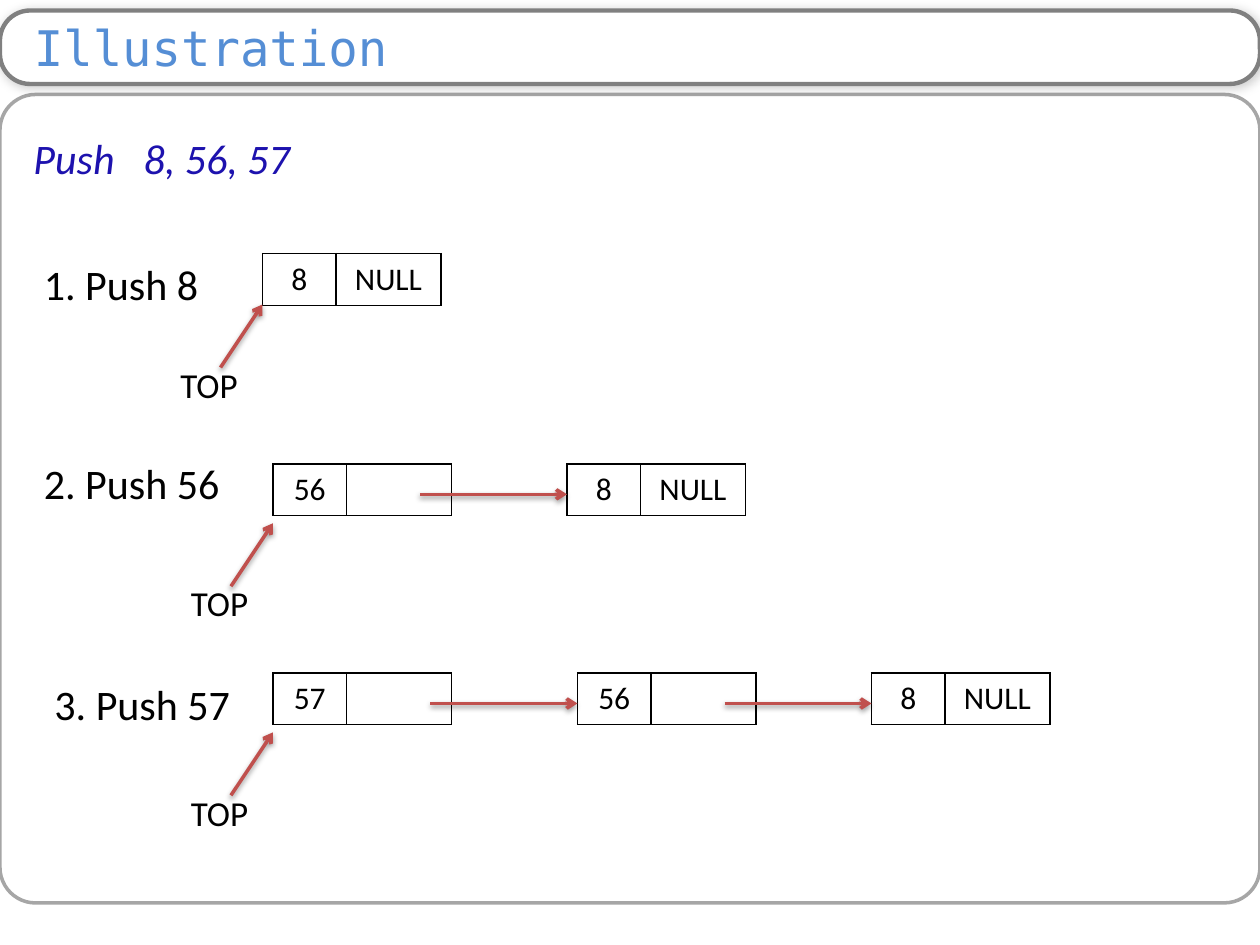
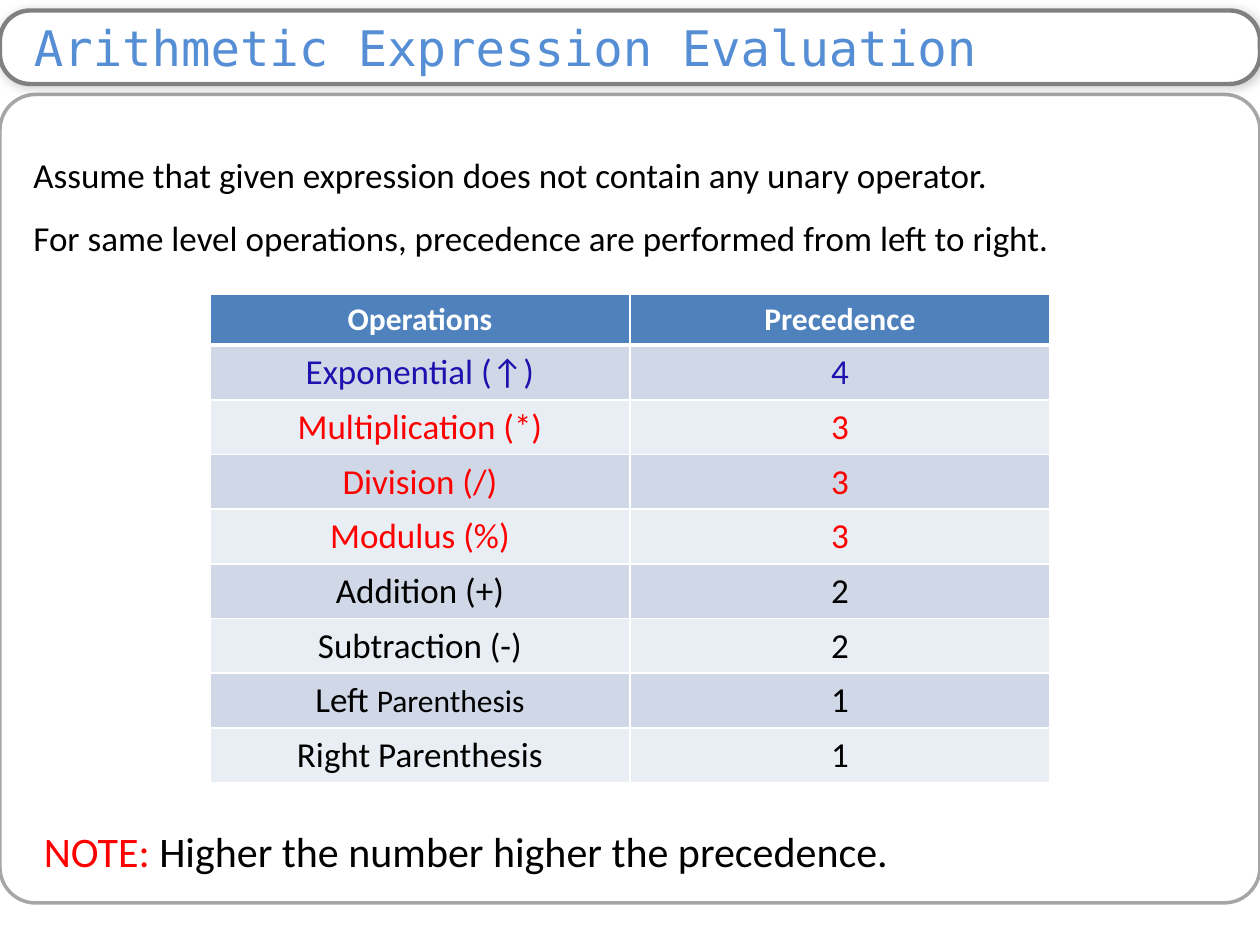
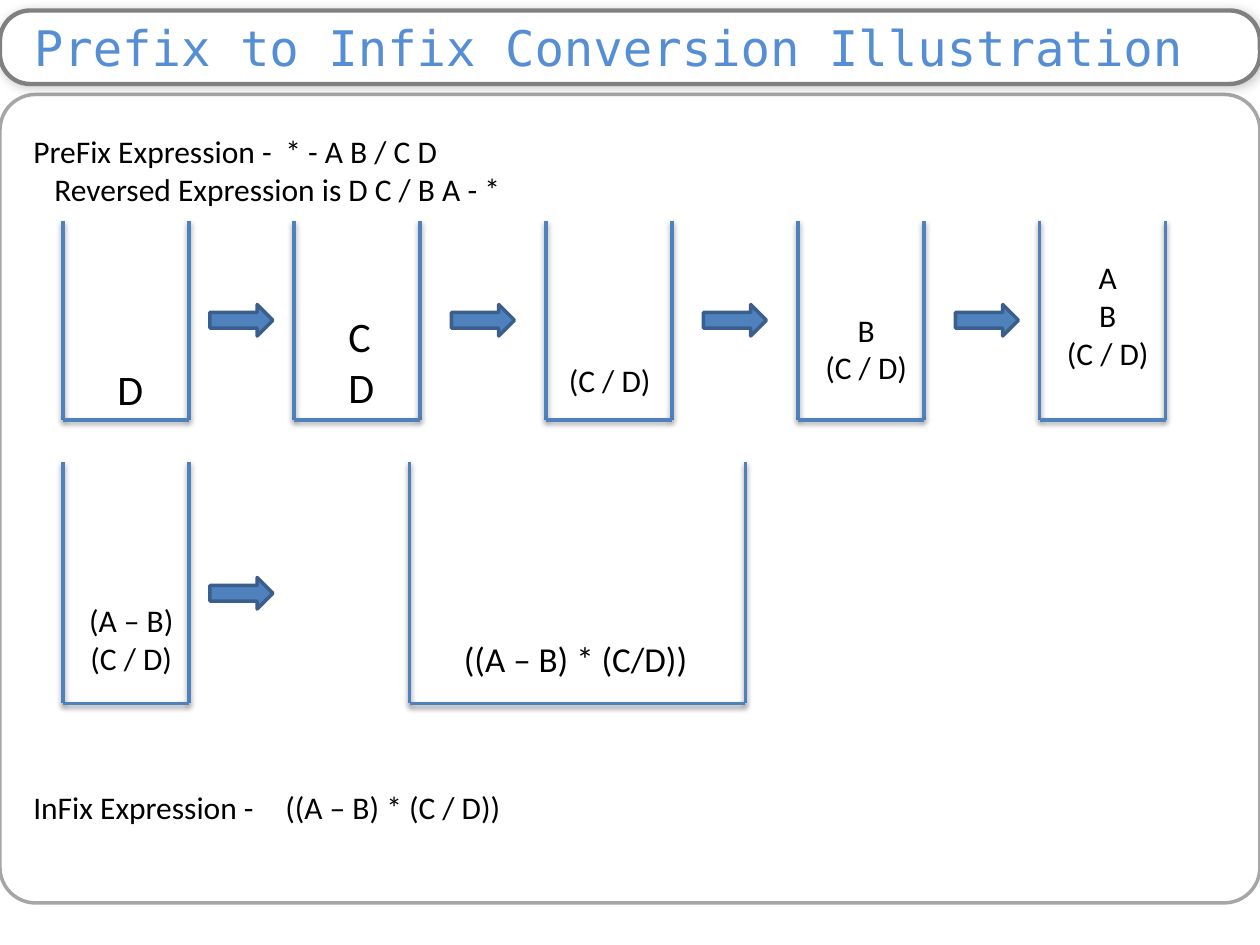
from lxml.etree import SubElement
from pptx import Presentation
from pptx.dml.color import RGBColor
from pptx.enum.shapes import MSO_CONNECTOR, MSO_SHAPE
from pptx.enum.text import MSO_ANCHOR, MSO_AUTO_SIZE, PP_ALIGN
from pptx.oxml.ns import qn
from pptx.util import Pt

WHITE = RGBColor(0xFF, 0xFF, 0xFF)
BLACK = RGBColor(0x00, 0x00, 0x00)
RED = RGBColor(0xFF, 0x00, 0x00)
INDIGO = RGBColor(0x1D, 0x12, 0xAE)
TITLE_BLUE = RGBColor(0x55, 0x8E, 0xD5)
BLUE = RGBColor(0x4F, 0x81, 0xBD)
DARK_BLUE = RGBColor(0x3A, 0x5F, 0x8C)
BRICK = RGBColor(0xC0, 0x50, 0x4D)
PANEL_GRAY = RGBColor(0xA6, 0xA6, 0xA6)
BAND_GRAY = RGBColor(0x80, 0x80, 0x80)
ROW_FILLS = (RGBColor(0xD0, 0xD8, 0xE8), RGBColor(0xE9, 0xED, 0xF4))

BODY = "Calibri"
MONO = "DejaVu Sans Mono"
WIDTH, HEIGHT = 720, 540
BAND_SHADOW = dict(alpha=20, blur=6, dist=1, angle=45)
LINE_SHADOW = dict(alpha=38, blur=3.1, dist=1.6, angle=90)

DATA_W, NEXT_W, NODE_H = 42, 60, 29.5
LINK_W, LINK_Y = 84, 17.5


def write(tf, lines, size=18, color=BLACK, font=BODY, bold=False, italic=False,
          align=PP_ALIGN.LEFT, spacing=None, indents=(), tab=None):
    for i, line in enumerate(lines):
        p = tf.paragraphs[0] if i == 0 else tf.add_paragraph()
        p.alignment = align
        if spacing:
            p.line_spacing = spacing
        pPr = p._p.get_or_add_pPr()
        if indents:
            pPr.set("marL", "0")
            pPr.set("indent", str(Pt(indents[i])))
        if tab:
            tabs = SubElement(pPr, qn("a:tabLst"))
            SubElement(tabs, qn("a:tab"), pos=str(Pt(tab)), algn="l")
        for text, own in [(line, {})] if isinstance(line, str) else line:
            r = p.add_run()
            r.text = text
            r.font.name = font
            r.font.size = Pt(own.get("size", size))
            r.font.color.rgb = own.get("color", color)
            r.font.bold = bold
            r.font.italic = italic


def add_text(s, left, top, width, height, lines, **fmt):
    sp = s.shapes.add_textbox(Pt(left), Pt(top), Pt(width), Pt(height))
    sp.text_frame.word_wrap = True
    write(sp.text_frame, lines, **fmt)


def set_shadow(sp, shadow):
    effects = SubElement(sp._element.spPr, qn("a:effectLst"))
    if shadow:
        outer = SubElement(effects, qn("a:outerShdw"), blurRad=str(Pt(shadow["blur"])),
                           dist=str(Pt(shadow["dist"])), dir=str(shadow["angle"] * 60000),
                           algn="ctr", rotWithShape="0")
        clr = SubElement(outer, qn("a:srgbClr"), val=str(BLACK))
        SubElement(clr, qn("a:alpha"), val=str(shadow["alpha"] * 1000))


def add_box(s, kind, left, top, width, height, line, weight, fill=None, adj=None, shadow=None):
    sp = s.shapes.add_shape(kind, Pt(left), Pt(top), Pt(width), Pt(height))
    if adj is not None:
        sp.adjustments[0] = adj
    if fill is None:
        sp.fill.background()
    else:
        sp.fill.solid()
        sp.fill.fore_color.rgb = fill
    sp.line.color.rgb = line
    sp.line.width = Pt(weight)
    set_shadow(sp, shadow)


def add_line(s, x1, y1, x2, y2, color, arrow=False):
    sp = s.shapes.add_connector(MSO_CONNECTOR.STRAIGHT, Pt(x1), Pt(y1), Pt(x2), Pt(y2))
    sp.line.color.rgb = color
    sp.line.width = Pt(2)
    if arrow:
        SubElement(sp._element.spPr.find(qn("a:ln")), qn("a:tailEnd"), type="arrow")
    set_shadow(sp, LINE_SHADOW)


def set_borders(cell, color, bottom=1):
    tcPr = cell._tc.get_or_add_tcPr()
    for side, weight in zip("LRTB", (1, 1, 1, bottom)):
        ln = SubElement(tcPr, qn("a:ln" + side), w=str(Pt(weight)))
        SubElement(SubElement(ln, qn("a:solidFill")), qn("a:srgbClr"), val=str(color))


def add_grid(s, left, top, widths, heights):
    frame = s.shapes.add_table(len(heights), len(widths), Pt(left), Pt(top),
                               Pt(sum(widths)), Pt(sum(heights)))
    table = frame.table
    table.horz_banding = False
    for col, width in zip(table.columns, widths):
        col.width = Pt(width)
    for row, height in zip(table.rows, heights):
        row.height = Pt(height)
    return table


def add_slide(prs, title):
    s = prs.slides.add_slide(prs.slide_layouts[5])
    add_box(s, MSO_SHAPE.ROUNDED_RECTANGLE, 0, 54, WIDTH, 462, PANEL_GRAY, 2, adj=0.044)
    add_box(s, MSO_SHAPE.ROUNDED_RECTANGLE, 0, 6, WIDTH, 42, BAND_GRAY, 2.5,
            fill=WHITE, adj=0.409, shadow=BAND_SHADOW)
    sp = s.shapes.title
    s.shapes._spTree.append(sp._element)
    sp.left, sp.top, sp.width, sp.height = Pt(0), Pt(6), Pt(WIDTH), Pt(42)
    tf = sp.text_frame
    tf.auto_size = MSO_AUTO_SIZE.NONE
    tf.vertical_anchor = MSO_ANCHOR.MIDDLE
    tf.margin_left, tf.margin_right = Pt(19.4), Pt(7.2)
    tf.margin_top = tf.margin_bottom = 0
    write(tf, [title], size=28, color=TITLE_BLUE, font=MONO)
    return s


def add_node(s, left, top, value, link):
    table = add_grid(s, left, top, (DATA_W, NEXT_W), (NODE_H,))
    table.first_row = False
    for cell, text in zip(table.rows[0].cells, (value, link)):
        set_borders(cell, BLACK)
        cell.fill.background()
        if text:
            write(cell.text_frame, [text], align=PP_ALIGN.CENTER)


def add_top_pointer(s, tip_x, tip_y):
    x, y = tip_x - 24, tip_y + 36
    add_line(s, x, y, tip_x, tip_y, BRICK, arrow=True)
    add_text(s, x - 30, y - 6, 102, 32, ["TOP"], size=20)


def add_push_step(s, label, label_at, top, nodes, tip_gap):
    add_text(s, *label_at, 120, 36, [label], size=24)
    for i, (left, value) in enumerate(nodes):
        add_node(s, left, top, value, "NULL" if i == len(nodes) - 1 else "")
    for left, _ in nodes[1:]:
        add_line(s, left - LINK_W, top + LINK_Y, left, top + LINK_Y, BRICK, arrow=True)
    add_top_pointer(s, nodes[0][0], top + tip_gap)


def build_push_slide(prs):
    s = add_slide(prs, "Illustration")
    add_text(s, 12, 72, 696, 36, ["Push\t8, 56, 57"], size=24, color=INDIGO,
             italic=True, tab=63)
    steps = [
        ("1. Push 8", (18, 144), 145, [(150, "8")], 29),
        ("2. Push 56", (18, 258), 265, [(156, "56"), (324, "8")], 34),
        ("3. Push 57", (24, 384), 384.5, [(156, "57"), (330, "56"), (498, "8")], 34),
    ]
    for step in steps:
        add_push_step(s, *step)


def add_precedence_table(s, left, top):
    rows = [
        ("Exponential (↑)", "4", INDIGO),
        ("Multiplication (*)", "3", RED),
        ("Division (/)", "3", RED),
        ("Modulus (%)", "3", RED),
        ("Addition (+)", "2", BLACK),
        ("Subtraction (-)", "2", BLACK),
        ([("Left ", {}), ("Parenthesis", {"size": 18})], "1", BLACK),
        ("Right Parenthesis", "1", BLACK),
    ]
    table = add_grid(s, left, top, (240, 240), [29.2] + [31.2] * len(rows))
    for i, (operation, level, color) in enumerate([("Operations", "Precedence", WHITE)] + rows):
        header = i == 0
        for cell, text in zip(table.rows[i].cells, (operation, level)):
            set_borders(cell, WHITE, bottom=3 if header else 1)
            cell.fill.solid()
            cell.fill.fore_color.rgb = BLUE if header else ROW_FILLS[(i - 1) % 2]
            write(cell.text_frame, [text], size=18 if header else 20, color=color,
                  bold=header, align=PP_ALIGN.CENTER)


def build_precedence_slide(prs):
    s = add_slide(prs, "Arithmetic Expression Evaluation")
    add_text(s, 12, 72, 696, 82, [
        "Assume that given expression does not contain any unary operator.",
        "For same level operations, precedence are performed from left to right.",
    ], size=20, spacing=1.5)
    add_precedence_table(s, 120, 168)
    add_text(s, 18, 468, 606, 36, [[
        ("NOTE: ", {"color": RED}),
        ("Higher the number higher the precedence.", {}),
    ]], size=24)


def add_stack(s, left, top, width, height, items, dx, dy, size=18, align=PP_ALIGN.CENTER):
    right, bottom = left + width, top + height
    for ends in ((left, top, left, bottom), (right, top, right, bottom),
                 (left, bottom, right, bottom)):
        add_line(s, *ends, BLUE)
    add_text(s, left + dx, top + dy, width - dx, 7.2 + 1.2 * size * len(items), items,
             size=size, align=align)


def build_conversion_slide(prs):
    s = add_slide(prs, "Prefix to Infix Conversion Illustration")
    add_text(s, 12, 72, 600, 52, [
        "PreFix Expression -\t* - A B / C D",
        "Reversed Expression is\tD C / B A - *",
    ], indents=(0, 12), tab=201)
    left = PP_ALIGN.LEFT
    upper, lower = (126, 72, 114), (264, 72, 138)
    stacks = [
        (36, *upper, ["D"], 24, 78, 24, left),
        (168, *upper, ["C", "D"], 24, 48, 24, left),
        (312, *upper, ["(C / D)"], 6, 77, 18, left),
        (456, *upper, ["B", "(C / D)"], 6, 48),
        (594, *upper, ["A", "B", "(C / D)"], 6, 18),
        (36, *lower, ["(A – B)", "(C / D)"], 6, 76),
        (234, 264, 192, 138, ["((A – B) * (C/D))"], -2, 97, 20),
    ]
    for stack in stacks:
        add_stack(s, *stack)
    for x, y in ((120, 174), (258, 174), (402, 174), (546, 174), (120, 330)):
        add_box(s, MSO_SHAPE.RIGHT_ARROW, x, y, 36, 18, DARK_BLUE, 2, fill=BLUE)
    add_text(s, 12, 447, 498, 30, ["InFix Expression -\t((A – B) * (C / D))"], tab=144)


def main():
    prs = Presentation()
    prs.slide_width, prs.slide_height = Pt(WIDTH), Pt(HEIGHT)
    build_push_slide(prs)
    build_precedence_slide(prs)
    build_conversion_slide(prs)
    prs.save("out.pptx")


if __name__ == "__main__":
    main()
